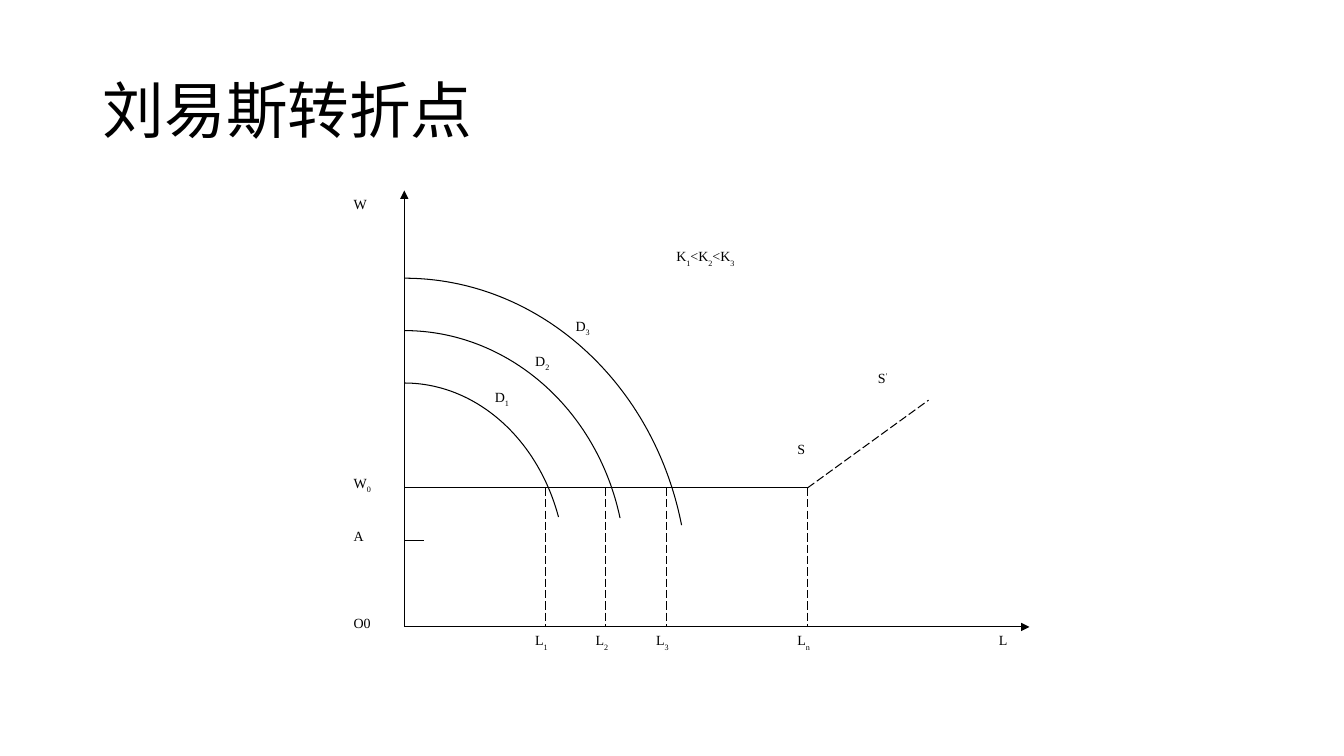
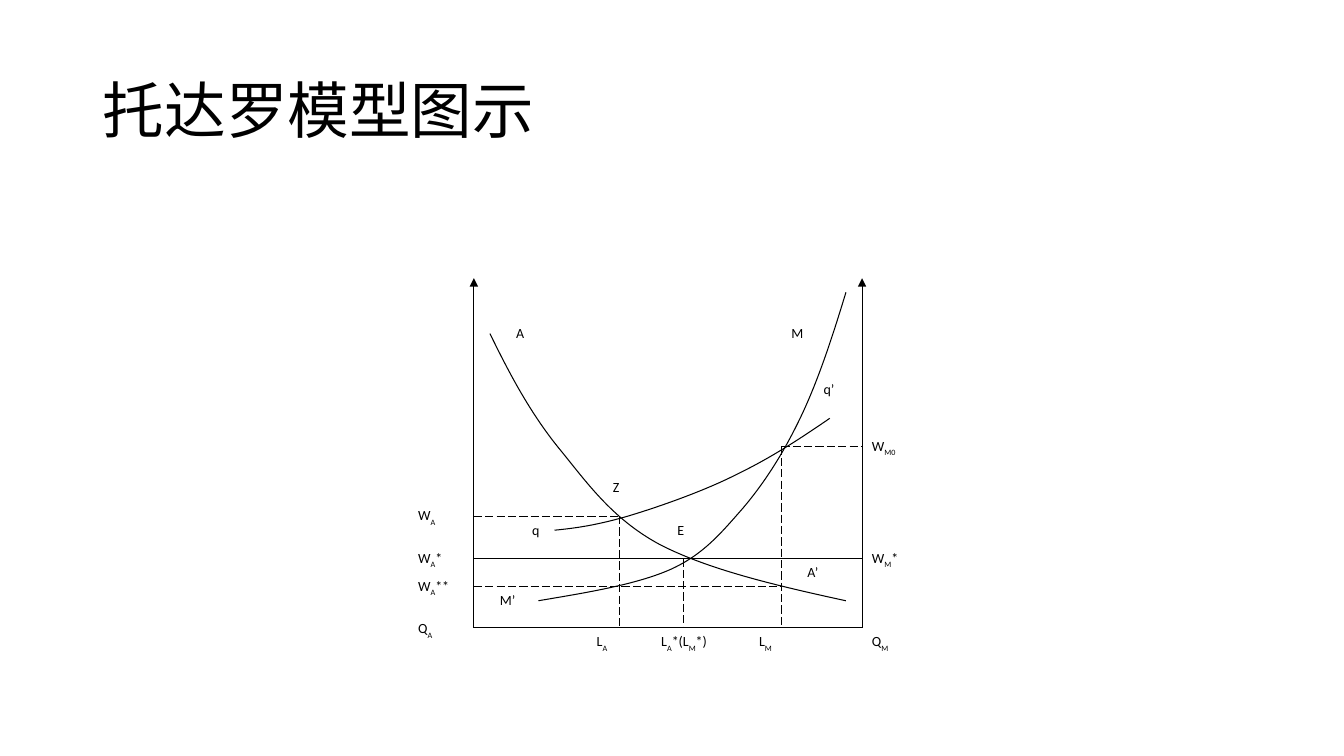
from dataclasses import dataclass

from lxml import etree
from pptx import Presentation
from pptx.dml.color import RGBColor
from pptx.enum.dml import MSO_LINE
from pptx.enum.shapes import MSO_CONNECTOR
from pptx.enum.text import MSO_ANCHOR, MSO_AUTO_SIZE, PP_ALIGN
from pptx.oxml.ns import qn
from pptx.util import Pt

PX = 9144
STRAIGHT = MSO_CONNECTOR.STRAIGHT
DASH = MSO_LINE.LONG_DASH
LEFT = PP_ALIGN.LEFT
MIDDLE, TOP = MSO_ANCHOR.MIDDLE, MSO_ANCHOR.TOP
NO_FIT = MSO_AUTO_SIZE.NONE
TITLE_ONLY = 5
SUB, SUPER = -30000, 30000


@dataclass(frozen=True)
class Theme:
    ink: RGBColor = RGBColor(0, 0, 0)
    title_font: str = "Noto Sans CJK SC"
    title_size: int = 44
    label_size: int = 10
    line_width: float = 0.75


THEME = Theme()


def write_text(tf, text, *, font, size, anchor=TOP, spacing=1.0, shift=SUB, shift_font=None):
    tf.word_wrap = True
    tf.auto_size = NO_FIT
    tf.vertical_anchor = anchor
    p = tf.paragraphs[0]
    p.alignment = LEFT
    p.line_spacing = spacing
    for i, part in enumerate(text.split("|")):
        shifted = i % 2 == 1
        r = p.add_run()
        r.text = part
        r.font.size = Pt(size)
        r.font.color.rgb = THEME.ink
        r.font.name = shift_font if shifted and shift_font else font
        rPr = r._r.get_or_add_rPr()
        etree.SubElement(rPr, qn("a:ea")).set("typeface", r.font.name)
        if shifted:
            rPr.set("baseline", str(shift))


def add_curve(shapes, points):
    builder = shapes.build_freeform(*points[0], scale=PX)
    builder.add_line_segments(points[1:], close=False)
    sp = builder.convert_to_shape()
    segments = list(sp._element.spPr.iter(qn("a:lnTo")))
    for k in range(0, len(segments), 3):
        first, *others = segments[k:k + 3]
        first.tag = qn("a:cubicBezTo")
        for other in others:
            first.append(other[0])
            other.getparent().remove(other)
    return sp


lewis = {
    "title": "刘易斯转折点",
    "font": "Times New Roman",
    "label_height": 52,
    "axes": [(401, 622, 401, 189), (401, 622, 1021, 622)],
    "solid": [(401, 484, 801, 484), (401, 536, 421, 536)],
    "dashed": [(801, 484, 921, 397), (801, 484, 801, 622)]
    + [(541 + 60 * i, 484, 541 + 60 * i, 622) for i in range(3)],
    "curves": [
        [(401, 380), (471, 380), (533, 434), (554, 513)],
        [(401, 328), (503, 328), (592, 405), (615, 514)],
        [(401, 276), (533, 276), (648, 378), (676, 521)],
    ],
    "labels": [
        ("W", 341, 189, 60), ("W|0", 341, 466, 80), ("A", 341, 518, 60), ("O0", 341, 605, 60),
        ("S", 781, 432, 60), ("L|n", 781, 622, 60), ("L", 981, 622, 60),
        ("K|1|<K|2|<K|3", 661, 241, 140),
    ]
    + [(f"D|{i + 1}", 481 + 40 * i, 380 - 35 * i, 60) for i in range(3)]
    + [(f"L|{i + 1}", 521 + 60 * i, 622, 60) for i in range(3)],
    "primed": [("S|’", 861, 362, 60)],
}

todaro = {
    "title": "托达罗模型图示",
    "font": "Calibri",
    "label_height": 42,
    "axes": [(x, 623, x, 276) for x in (470, 855)],
    "solid": [(470, y, 855, y) for y in (554, 623)],
    "dashed": [
        (678, 554, 678, 623), (775, 443, 855, 443), (775, 443, 775, 623),
        (470, 582, 775, 582), (470, 512, 614, 512), (614, 512, 614, 623),
    ],
    "curves": [
        [(486, 331), (505, 370), (525, 408), (553, 443), (581, 477), (606, 514), (654, 540),
         (702, 565), (770, 581), (839, 596)],
        [(839, 290), (826, 333), (812, 376), (795, 412), (778, 448), (759, 478), (737, 504),
         (715, 529), (698, 550), (665, 565), (631, 580), (582, 588), (534, 596)],
        [(550, 526), (571, 524), (592, 521), (623, 512), (653, 503), (699, 487), (732, 470),
         (765, 454), (794, 435), (823, 415)],
    ],
    "labels": [
        ("A", 502, 317, 48), ("M", 775, 317, 48), ("q’", 807, 373, 48), ("Z", 598, 470, 48),
        ("q", 518, 512, 48), ("E", 662, 512, 48), ("A’", 791, 554, 48), ("M’", 486, 582, 64),
        ("W|A", 405, 498, 64), ("W|A|*", 405, 540, 64), ("W|A|**", 405, 568, 80),
        ("Q|A", 405, 610, 64), ("L|A", 582, 623, 64), ("L|A|*(L|M|*)", 646, 623, 129),
        ("L|M", 743, 623, 64), ("Q|M", 855, 623, 64), ("W|M0", 855, 429, 64),
        ("W|M|*", 855, 540, 64),
    ],
    "primed": [],
}

prs = Presentation()
prs.slide_width = 1333 * PX
prs.slide_height = 750 * PX

for diagram in (lewis, todaro):
    s = prs.slides.add_slide(prs.slide_layouts[TITLE_ONLY])
    title = s.shapes.title
    title.left, title.top, title.width, title.height = (v * PX for v in (92, 40, 1150, 145))
    write_text(title.text_frame, diagram["title"], font=THEME.title_font,
               size=THEME.title_size, anchor=MIDDLE, spacing=0.9)
    shapes = s.shapes.add_group_shape().shapes

    for kind in ("axes", "solid", "dashed"):
        for ends in diagram[kind]:
            cxn = shapes.add_connector(STRAIGHT, *(v * PX for v in ends))
            cxn.line.color.rgb = THEME.ink
            cxn.line.width = Pt(THEME.line_width)
            if kind == "dashed":
                cxn.line.dash_style = DASH
            if kind == "axes":
                ln = cxn.line._get_or_add_ln()
                etree.SubElement(ln, qn("a:tailEnd")).set("type", "triangle")
            etree.SubElement(cxn._element.spPr, qn("a:effectLst"))

    for points in diagram["curves"]:
        sp = add_curve(shapes, points)
        sp.shadow.inherit = False
        sp.fill.background()
        sp.line.color.rgb = THEME.ink
        sp.line.width = Pt(THEME.line_width)

    for kind, marks in (("labels", {}), ("primed", {"shift": SUPER, "shift_font": "Arial"})):
        for text, x, y, width in diagram[kind]:
            box = shapes.add_textbox(x * PX, y * PX, width * PX, diagram["label_height"] * PX)
            write_text(box.text_frame, text, font=diagram["font"], size=THEME.label_size, **marks)

prs.save("out.pptx")
